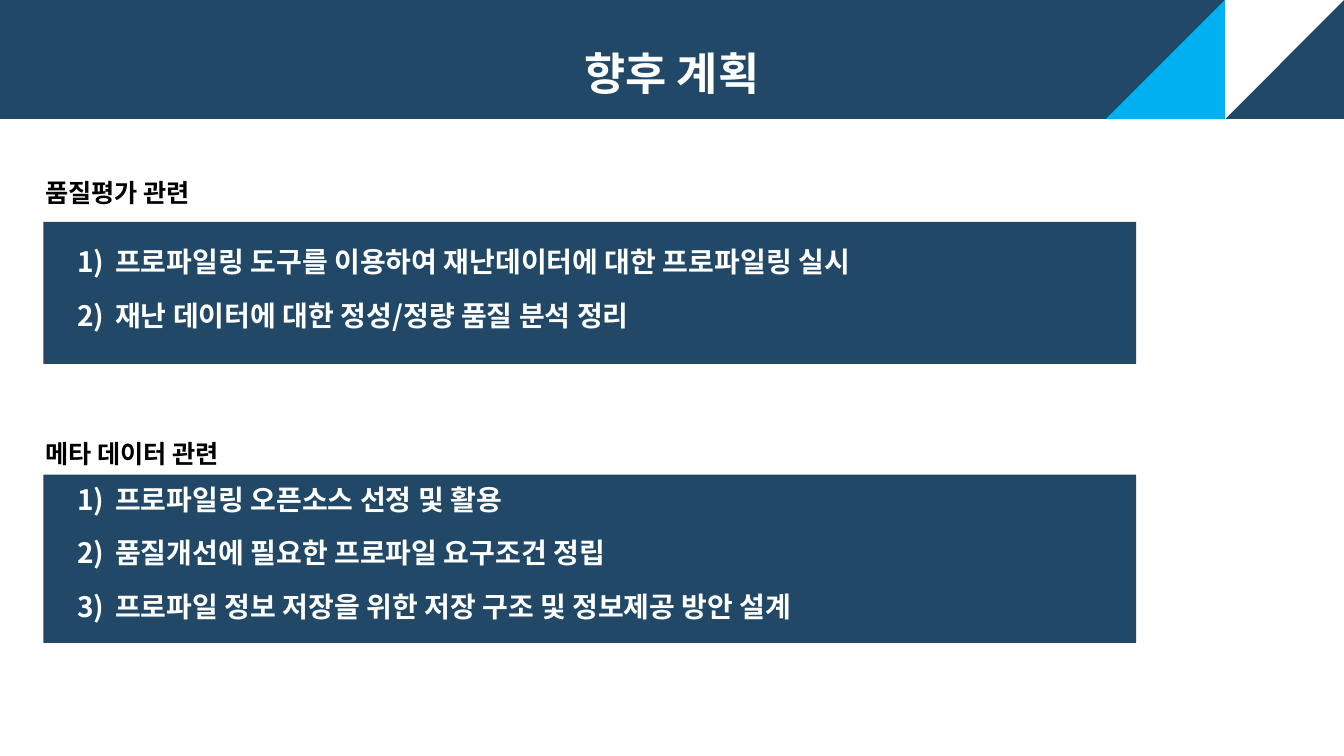
from dataclasses import dataclass

from lxml.etree import SubElement
from pptx import Presentation
from pptx.dml.color import RGBColor
from pptx.enum.shapes import MSO_SHAPE
from pptx.enum.text import MSO_ANCHOR, MSO_AUTO_SIZE, PP_ALIGN
from pptx.oxml.ns import qn
from pptx.util import Pt

# Content
TITLE = "향후 계획"
SECTIONS = [
    {
        "heading": "품질평가 관련",
        "heading_top": 110.2,
        "panel": (158.4, 101.5),
        "list_top": 156.5,
        "items": [
            "프로파일링 도구를 이용하여 재난데이터에 대한 프로파일링 실시",
            "재난 데이터에 대한 정성/정량 품질 분석 정리",
        ],
    },
    {
        "heading": "메타 데이터 관련",
        "heading_top": 296.6,
        "panel": (339.1, 120.2),
        "list_top": 326.4,
        "items": [
            "프로파일링 오픈소스 선정 및 활용",
            "품질개선에 필요한 프로파일 요구조건 정립",
            "프로파일 정보 저장을 위한 저장 구조 및 정보제공 방안 설계",
        ],
    },
]


@dataclass(frozen=True)
class Theme:
    font: str = "Noto Sans CJK KR"
    navy: RGBColor = RGBColor(0x21, 0x48, 0x67)
    sky: RGBColor = RGBColor(0x00, 0xB0, 0xF0)
    white: RGBColor = RGBColor(0xFF, 0xFF, 0xFF)
    black: RGBColor = RGBColor(0x00, 0x00, 0x00)
    title_size: int = 32
    heading_size: int = 18
    item_size: int = 20


THEME = Theme()
SLIDE_WIDTH, SLIDE_HEIGHT = 960, 540
BANNER_HEIGHT = 85
HEADING_LEFT, HEADING_WIDTH, HEADING_HEIGHT = 25.2, 480, 37.4
PANEL_LEFT, PANEL_WIDTH = 31, 780.5
LIST_LEFT, LIST_WIDTH = 48.2, 800
ITEM_PITCH, ITEM_INDENT = 38.9, 27


def write_lines(text_frame, lines, size, color, spacing, alignment):
    text_frame.word_wrap = True
    text_frame.auto_size = MSO_AUTO_SIZE.NONE
    text_frame.text = "\n".join(lines)
    for paragraph in text_frame.paragraphs:
        paragraph.alignment = alignment
        paragraph.line_spacing = spacing
        paragraph.space_before = Pt(0)
        for run in paragraph.runs:
            run.font.size = Pt(size)
            run.font.bold = True
            run.font.color.rgb = color
            run.font.name = THEME.font
            SubElement(run._r.get_or_add_rPr(), qn("a:ea"), typeface=THEME.font)


def add_text(slide, left, top, width, height, *text_style):
    box = slide.shapes.add_textbox(Pt(left), Pt(top), Pt(width), Pt(height))
    write_lines(box.text_frame, *text_style)
    return box


def add_filled(slide, kind, left, top, width, height, color):
    shape = slide.shapes.add_shape(kind, Pt(left), Pt(top), Pt(width), Pt(height))
    shape.shadow.inherit = False
    shape.fill.solid()
    shape.fill.fore_color.rgb = color
    shape.line.fill.background()
    return shape


def number_paragraphs(text_frame):
    for paragraph in text_frame.paragraphs:
        properties = paragraph._p.get_or_add_pPr()
        properties.set("marL", str(Pt(ITEM_INDENT)))
        properties.set("indent", str(-Pt(ITEM_INDENT)))
        SubElement(properties, qn("a:buFont"), typeface=THEME.font)
        SubElement(properties, qn("a:buAutoNum"), type="arabicParenR")


def add_banner(slide):
    title = slide.shapes.title
    title.left, title.top = Pt(0), Pt(0)
    title.width, title.height = Pt(SLIDE_WIDTH), Pt(BANNER_HEIGHT)
    title.fill.solid()
    title.fill.fore_color.rgb = THEME.navy
    write_lines(title.text_frame, [TITLE], THEME.title_size, THEME.white, 1.5,
                PP_ALIGN.CENTER)
    title.text_frame.vertical_anchor = MSO_ANCHOR.MIDDLE

    # Corner triangles, counted from the right edge
    for place, (color, rotation) in enumerate(
            [(THEME.white, 90), (THEME.sky, 270)], start=1):
        triangle = add_filled(slide, MSO_SHAPE.RIGHT_TRIANGLE,
                              SLIDE_WIDTH - place * BANNER_HEIGHT, 0,
                              BANNER_HEIGHT, BANNER_HEIGHT, color)
        triangle.rotation = rotation


def add_section(slide, section):
    add_text(slide, HEADING_LEFT, section["heading_top"], HEADING_WIDTH,
             HEADING_HEIGHT, [section["heading"]], THEME.heading_size,
             THEME.black, 1.6, PP_ALIGN.JUSTIFY)
    panel_top, panel_height = section["panel"]
    add_filled(slide, MSO_SHAPE.RECTANGLE, PANEL_LEFT, panel_top, PANEL_WIDTH,
               panel_height, THEME.navy)
    items = section["items"]
    box = add_text(slide, LIST_LEFT, section["list_top"], LIST_WIDTH,
                   len(items) * ITEM_PITCH + 7.2, items, THEME.item_size,
                   THEME.white, 1.6, PP_ALIGN.LEFT)
    number_paragraphs(box.text_frame)


def main():
    presentation = Presentation()
    presentation.slide_width = Pt(SLIDE_WIDTH)
    presentation.slide_height = Pt(SLIDE_HEIGHT)
    slide = presentation.slides.add_slide(presentation.slide_layouts[5])
    add_banner(slide)
    for section in SECTIONS:
        add_section(slide, section)
    presentation.save("out.pptx")


if __name__ == "__main__":
    main()
